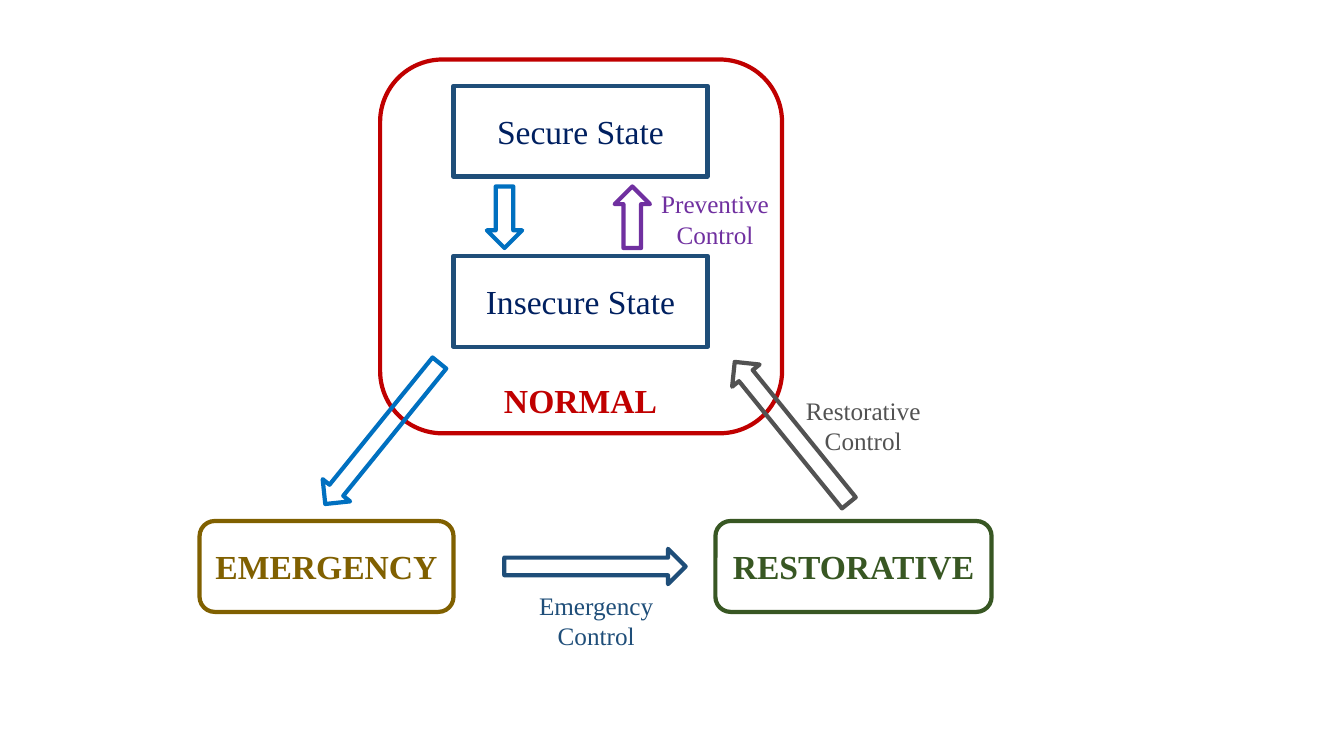
"""Builds a slide of power system operating states and the controls between them."""
from pptx import Presentation
from pptx.dml.color import RGBColor
from pptx.enum.shapes import MSO_SHAPE
from pptx.enum.text import MSO_ANCHOR, PP_ALIGN
from pptx.util import Cm, Pt

RED = RGBColor(0xC0, 0x00, 0x00)
NAVY = RGBColor(0x00, 0x20, 0x60)
STEEL = RGBColor(0x1F, 0x4E, 0x79)
BLUE = RGBColor(0x00, 0x70, 0xC0)
PURPLE = RGBColor(0x70, 0x30, 0xA0)
OLIVE = RGBColor(0x80, 0x60, 0x00)
GREEN = RGBColor(0x38, 0x57, 0x23)
GRAY = RGBColor(0x52, 0x52, 0x52)

STATE = {"size": Pt(24), "bold": False}
MODE = {"size": Pt(24), "bold": True}
CONTROL = {"size": Pt(18), "bold": False}


class Diagram:
    def __init__(self, page, font_name, line_width):
        self.page = page
        self.font_name = font_name
        self.line_width = line_width

    def add_lines(self, box, lines, color, style):
        frame = box.text_frame
        frame.word_wrap = False
        frame.vertical_anchor = MSO_ANCHOR.MIDDLE
        for index, line in enumerate(lines):
            para = frame.add_paragraph() if index else frame.paragraphs[0]
            para.alignment = PP_ALIGN.CENTER
            span = para.add_run()
            span.text = line
            for name, value in {"name": self.font_name, **style}.items():
                setattr(span.font, name, value)
            span.font.color.rgb = color

    def outline(self, kind, left, top, width, height, color, rotation=0):
        shape = self.page.shapes.add_shape(kind, Cm(left), Cm(top), Cm(width), Cm(height))
        shape.shadow.inherit = False
        shape.fill.background()
        shape.line.color.rgb = color
        shape.line.width = self.line_width
        shape.rotation = rotation
        return shape

    def state(self, kind, left, top, width, line, color, text_color, style):
        shape = self.outline(kind, left, top, width, 2.29, color)
        self.add_lines(shape, [line], text_color, style)

    def label(self, left, top, width, height, lines, color, style):
        box = self.page.shapes.add_textbox(Cm(left), Cm(top), Cm(width), Cm(height))
        self.add_lines(box, lines, color, style)


deck = Presentation()
deck.slide_width, deck.slide_height = Cm(33.87), Cm(19.05)
page = deck.slides.add_slide(deck.slide_layouts[6])
diagram = Diagram(page, "Times New Roman", Pt(3))

diagram.outline(MSO_SHAPE.ROUNDED_RECTANGLE, 9.58, 1.5, 10.13, 9.42, RED)
diagram.label(12.42, 9.45, 4.42, 1.27, ["NORMAL"], RED, MODE)

for top, name in [(2.16, "Secure State"), (6.45, "Insecure State")]:
    diagram.state(MSO_SHAPE.RECTANGLE, 11.43, top, 6.4, name, STEEL, NAVY, STATE)

for left, width, name, color in [
    (5.03, 6.4, "EMERGENCY", OLIVE),
    (18.03, 6.96, "RESTORATIVE", GREEN),
]:
    diagram.state(MSO_SHAPE.ROUNDED_RECTANGLE, left, 13.13, width, name, color, color, MODE)

for kind, left, top, width, height, color, rotation in [
    (MSO_SHAPE.DOWN_ARROW, 12.27, 4.7, 0.89, 1.55, BLUE, 0),
    (MSO_SHAPE.UP_ARROW, 15.49, 4.7, 0.89, 1.55, PURPLE, 0),
    (MSO_SHAPE.DOWN_ARROW, 9.19, 8.64, 0.89, 4.57, BLUE, 39),
    (MSO_SHAPE.UP_ARROW, 19.51, 8.61, 0.89, 4.57, GRAY, -39),
    (MSO_SHAPE.RIGHT_ARROW, 12.71, 13.83, 4.57, 0.89, STEEL, 0),
]:
    diagram.outline(kind, left, top, width, height, color, rotation)

for left, top, width, name, color in [
    (16.38, 4.62, 3.28, "Preventive", PURPLE),
    (20.04, 9.83, 3.43, "Restorative", GRAY),
    (13.31, 14.73, 3.43, "Emergency", STEEL),
]:
    diagram.label(left, top, width, 1.8, [name, "Control"], color, CONTROL)

deck.save("out.pptx")
